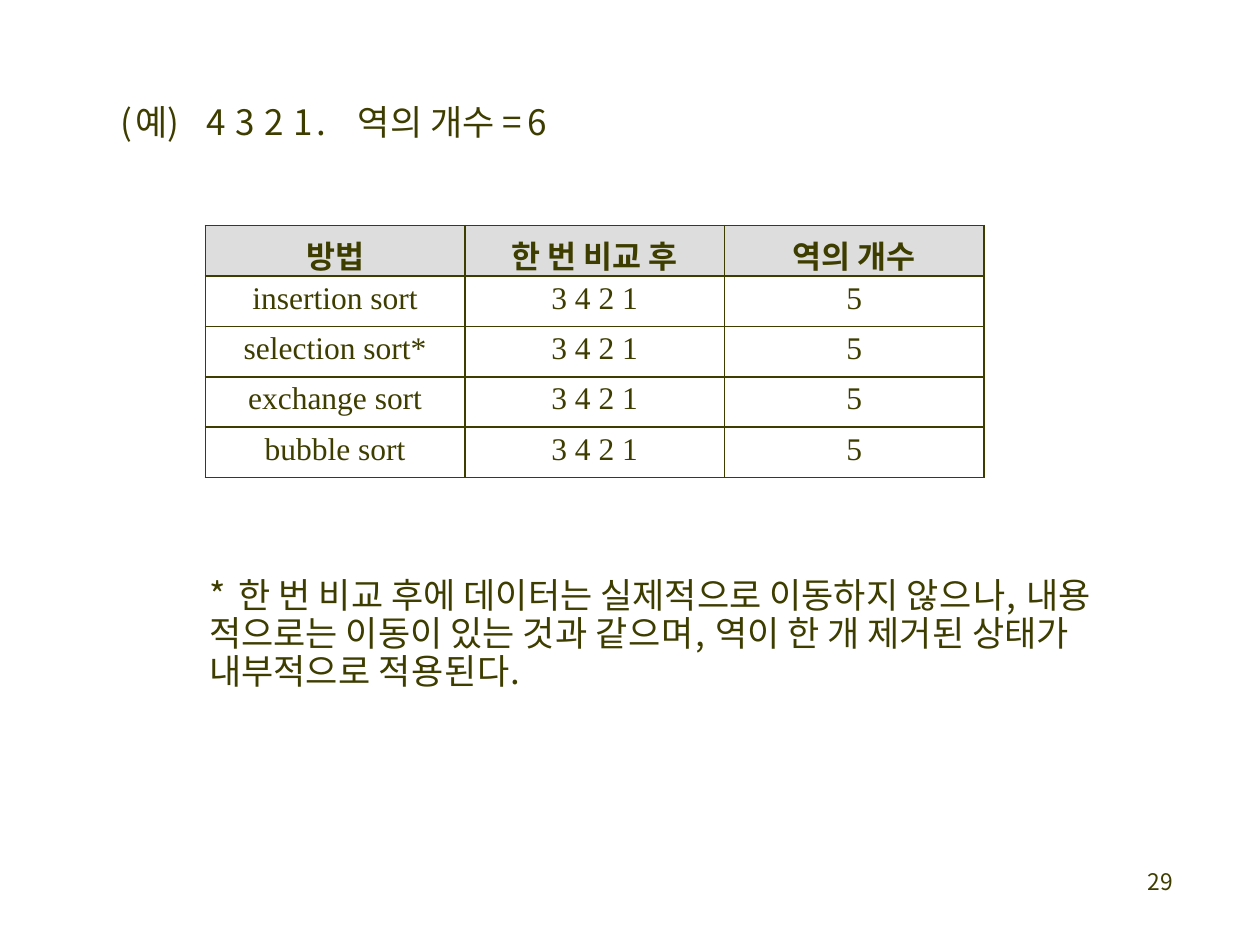
from dataclasses import dataclass

from pptx import Presentation
from pptx.dml.color import RGBColor
from pptx.enum.text import MSO_ANCHOR, PP_ALIGN
from pptx.oxml.ns import qn
from pptx.util import Inches, Pt
from lxml import etree

CENTER = PP_ALIGN.CENTER
TOP = MSO_ANCHOR.TOP
WIDTH, HEIGHT = 10, 7.5


@dataclass(frozen=True)
class Theme:
    ink: str = "3E3D00"
    header_fill: str = "DDDDDD"
    sans: str = "Noto Sans CJK KR"
    serif: str = "Times New Roman"
    text_size: int = 20
    table_size: int = 18
    page_size: int = 13
    border: int = 1


THEME = Theme()
BREAK = None  # a line break between runs

TITLE = [("(", 1.4), ("예", 0), (")\t", 1.4), ("4 3 2 ", 0.5), ("1", 1.9),
         (".\t", 0.8), ("역의 개수 ", 0), ("= ", -1.5), ("6", 0.5)]
NOTE = [("* ", 1.5), ("한 번 비교 후에 데이터는 실제적으로 이동하지 ", 0),
        ("않으나, ", 0.6), ("내용", 0), BREAK,
        ("적으로는 이동이 있는 것과 ", 0), ("같으며, ", 0.6),
        ("역이 한 개 제거된 상태가", 0), BREAK,
        ("내부적으로 ", 0), ("적용된다.", 0.5)]
HEADER = ["방법", "한 번 비교 후", "역의 개수"]
METHODS = ["insertion sort", "selection sort*", "exchange sort", "bubble sort"]
ROWS = [HEADER] + [[method, "3 4 2 1", "5"] for method in METHODS]


def add_runs(p, runs, font, size, bold=False):
    """Fill a paragraph with (text, letter spacing) runs."""
    for item in runs:
        if item is BREAK:
            p.add_line_break()
            continue
        text, spacing = item
        r = p.add_run()
        r.text = text
        r.font.color.rgb = RGBColor.from_string(THEME.ink)
        for name, value in {"name": font, "size": Pt(size), "bold": bold}.items():
            setattr(r.font, name, value)
        rPr = r.font._element
        rPr.set("spc", str(round(spacing * 100)))
        etree.SubElement(rPr, qn("a:ea")).set("typeface", font)


def add_text(slide, box, runs, size, top=0, leading=None, tabs=()):
    """Add a text box; box holds shares of the slide's size."""
    x, y, w, h = box
    sp = slide.shapes.add_textbox(Inches(x * WIDTH), Inches(y * HEIGHT),
                                  Inches(w * WIDTH), Inches(h * HEIGHT))
    tf = sp.text_frame
    frame = {"word_wrap": True, "vertical_anchor": TOP, "margin_left": Inches(0.01),
             "margin_right": 0, "margin_top": Inches(top), "margin_bottom": 0}
    for name, value in frame.items():
        setattr(tf, name, value)
    p = tf.paragraphs[0]
    if leading:
        p.line_spacing = Pt(leading)
    if tabs:
        tab_list = etree.SubElement(p._p.get_or_add_pPr(), qn("a:tabLst"))
        for pos in tabs:
            tab = etree.SubElement(tab_list, qn("a:tab"))
            tab.set("pos", str(Inches(pos)))
            tab.set("algn", "l")
    add_runs(p, runs, THEME.sans, size)


def set_borders(cell):
    """Draw all four sides of a cell, ahead of its fill."""
    tcPr = cell._tc.get_or_add_tcPr()
    for i, side in enumerate(("a:lnL", "a:lnR", "a:lnT", "a:lnB")):
        ln = etree.Element(qn(side))
        ln.set("w", str(Pt(THEME.border)))
        fill = etree.SubElement(ln, qn("a:solidFill"))
        etree.SubElement(fill, qn("a:srgbClr")).set("val", THEME.ink)
        tcPr.insert(i, ln)


def format_cell(cell, text, header):
    margins = {"margin_left": 0, "margin_right": 0, "margin_bottom": 0,
               "margin_top": Inches(0.05 if header else 0.04),
               "vertical_anchor": TOP}
    for name, value in margins.items():
        setattr(cell, name, value)
    if header:
        cell.fill.solid()
        cell.fill.fore_color.rgb = RGBColor.from_string(THEME.header_fill)
    else:
        cell.fill.background()
    set_borders(cell)
    p = cell.text_frame.paragraphs[0]
    p.alignment = CENTER
    add_runs(p, [(text, 0)], THEME.sans if header else THEME.serif,
             THEME.table_size, header)


def add_grid(slide, left, top, col_width, row_height, rows):
    """Add a table of equal columns and rows, in inches."""
    n_rows, n_cols = len(rows), len(rows[0])
    table = slide.shapes.add_table(
        n_rows, n_cols, Inches(left), Inches(top),
        Inches(col_width * n_cols), Inches(row_height * n_rows)).table
    table.horz_banding = False
    for i, row in enumerate(rows):
        for j, text in enumerate(row):
            format_cell(table.cell(i, j), text, i == 0)


def main():
    prs = Presentation()
    prs.slide_width, prs.slide_height = Inches(WIDTH), Inches(HEIGHT)
    slide = prs.slides.add_slide(prs.slide_layouts[6])

    # Example line
    add_text(slide, (0.095, 0.105, 0.361, 0.048), TITLE, THEME.text_size,
             top=0.01, tabs=(0.68, 1.88))
    # Sorting methods
    add_grid(slide, 1.63, 1.79, 2.06, 0.4, ROWS)
    # Footnote to the table
    add_text(slide, (0.165, 0.605, 0.776, 0.128), NOTE, THEME.text_size,
             top=0.05, leading=21.6)
    # Page number
    add_text(slide, (0.91, 0.92, 0.026, 0.028), [("29", 0.2)], THEME.page_size,
             leading=14.7)

    prs.save("out.pptx")


if __name__ == "__main__":
    main()
